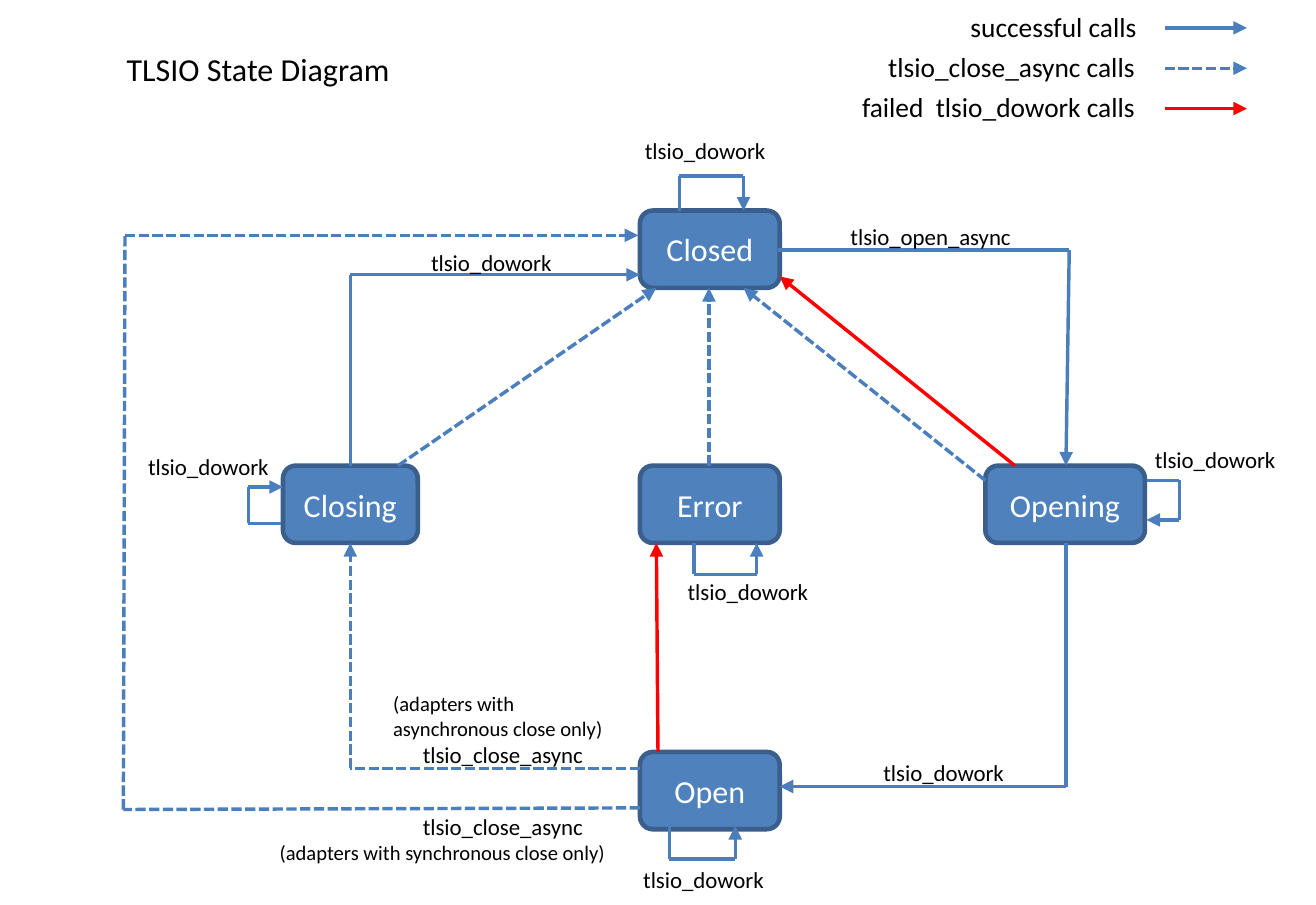
from itertools import pairwise

from lxml import etree
from pptx import Presentation
from pptx.dml.color import RGBColor
from pptx.enum.dml import MSO_LINE
from pptx.enum.shapes import MSO_CONNECTOR, MSO_SHAPE
from pptx.enum.text import MSO_ANCHOR, MSO_AUTO_SIZE, PP_ALIGN
from pptx.oxml.ns import qn
from pptx.util import Inches, Pt

STRAIGHT = MSO_CONNECTOR.STRAIGHT
ROUNDED = MSO_SHAPE.ROUNDED_RECTANGLE
DASH = MSO_LINE.SQUARE_DOT
CENTER, LEFT = PP_ALIGN.CENTER, PP_ALIGN.LEFT
TOP, MIDDLE = MSO_ANCHOR.TOP, MSO_ANCHOR.MIDDLE
FIT = MSO_AUTO_SIZE.SHAPE_TO_FIT_TEXT

THEME = {
    "font": "Calibri",
    "state": RGBColor(0x4F, 0x81, 0xBD),
    "border": RGBColor(0x3A, 0x5F, 0x8C),
    "call": RGBColor(0x4B, 0x7E, 0xBC),
    "failure": RGBColor(0xFF, 0x00, 0x00),
    "ink": RGBColor(0, 0, 0),
    "white": RGBColor(0xFF, 0xFF, 0xFF),
    "heading": 14, "legend": 12, "label": 10, "note": 9,
    "border_width": 2, "call_width": 1.5,
}
LABEL_HEIGHT = {"legend": 0.36, "label": 0.32, "note": 0.3}
STATE_HEIGHT = 0.47

TITLE = ("TLSIO State Diagram", 0.64, 0.25, 1.86, 0.34)

STATES = [
    ("Closed", 3.89, 1.28, 0.85),
    ("Opening", 5.99, 2.83, 0.97),
    ("Closing", 1.72, 2.83, 0.82),
    ("Open", 3.89, 4.57, 0.85),
    ("Error", 3.89, 2.83, 0.85),
]

CALLS = {
    "success": [
        [(2.13, 2.83), (2.13, 1.67), (3.89, 1.67)],
        [(4.73, 1.52), (6.5, 1.52), (6.48, 2.83)],
        [(6.48, 3.3), (6.48, 4.78), (4.74, 4.78)],
        [(6.97, 2.92), (7.17, 2.92), (7.17, 3.16), (6.97, 3.16)],
        [(4.22, 3.3), (4.22, 3.49), (4.6, 3.49), (4.6, 3.3)],
        [(4.13, 1.28), (4.13, 1.07), (4.52, 1.07), (4.52, 1.28)],
        [(4.07, 5.02), (4.07, 5.22), (4.47, 5.22), (4.47, 5.02)],
        [(1.71, 3.18), (1.51, 3.18), (1.51, 2.96), (1.72, 2.96)],
    ],
    "close": [
        [(3.89, 4.67), (2.13, 4.67), (2.13, 3.3)],
        [(3.89, 4.91), (0.75, 4.92), (0.76, 1.43), (3.88, 1.43)],
        [(4.31, 2.83), (4.31, 1.75)],
        [(5.99, 2.92), (4.52, 1.75)],
        [(2.42, 2.83), (3.99, 1.75)],
    ],
    "failure": [
        [(6.17, 2.83), (4.74, 1.68)],
        [(4, 4.57), (3.99, 3.3)],
    ],
}

DOWORK_WIDTH, ASYNC_WIDTH = 1.05, 1.29
LABELS = [
    ("tlsio_dowork", DOWORK_WIDTH, [
        (4.03, 3.43), (5.22, 4.53), (6.87, 2.63), (3.77, 0.75),
        (3.76, 5.18), (2.47, 1.43), (0.75, 2.67)]),
    ("tlsio_open_async", ASYNC_WIDTH, [(5.02, 1.27)]),
    ("tlsio_close_async", ASYNC_WIDTH, [(2.42, 4.42), (2.42, 4.86)]),
]
ASYNC_NOTE = ("(adapters with asynchronous close only)", 2.24, 4.12, 1.63, 0.46)
SYNC_NOTE = ("(adapters with synchronous close only)", 1.55, 5.03, 2.37)

LEGEND = [
    ("successful calls", "success", 1.33),
    ("tlsio_close_async calls", "close", 1.83),
    ("failed  tlsio_dowork calls", "failure", 1.99),
]
LEGEND_X, LEGEND_Y, LEGEND_STEP, LEGEND_ARROW = 7.08, 0.17, 0.245, 0.5


def write(shape, text, size, color, align=LEFT, anchor=TOP):
    frame = shape.text_frame
    frame.text = text
    frame.vertical_anchor = anchor
    paragraph = frame.paragraphs[0]
    paragraph.alignment = align
    paragraph.font.name = THEME["font"]
    paragraph.font.size = Pt(THEME[size])
    paragraph.font.color.rgb = THEME[color]
    return frame


def add_title(slide, text, *box):
    title = slide.shapes.title
    title.left, title.top, title.width, title.height = map(Inches, box)
    frame = write(title, text, "heading", "ink", CENTER)
    frame.word_wrap = True
    frame.auto_size = FIT


def add_state(slide, name, left, top, width):
    state = slide.shapes.add_shape(
        ROUNDED, *map(Inches, (left, top, width, STATE_HEIGHT)))
    state.shadow.inherit = False
    state.fill.solid()
    state.fill.fore_color.rgb = THEME["state"]
    state.line.color.rgb = THEME["border"]
    state.line.width = Pt(THEME["border_width"])
    write(state, name, "heading", "white", CENTER, MIDDLE)


def add_label(slide, text, left, top, width, size, height=None):
    box = (left, top, width, height or LABEL_HEIGHT[size])
    label = slide.shapes.add_textbox(*map(Inches, box))
    frame = write(label, text, size, "ink")
    frame.margin_left = frame.margin_right = Inches(0.15)
    frame.margin_top = frame.margin_bottom = Inches(0.08)
    frame.word_wrap = height is not None
    frame.auto_size = FIT


def add_call(slide, kind, points):
    for start, end in pairwise(points):
        leg = slide.shapes.add_connector(STRAIGHT, *map(Inches, start + end))
        leg.line.color.rgb = THEME["failure" if kind == "failure" else "call"]
        leg.line.width = Pt(THEME["call_width"])
        if kind == "close":
            leg.line.dash_style = DASH
            leg.line._ln.find(qn("a:prstDash")).set("val", "sysDash")
        etree.SubElement(leg._element.spPr, qn("a:effectLst"))
    etree.SubElement(leg.line._ln, qn("a:tailEnd"), type="triangle")


def main():
    deck = Presentation()
    deck.slide_width, deck.slide_height = Inches(8), Inches(5.5)
    slide = deck.slides.add_slide(deck.slide_layouts[5])

    add_title(slide, *TITLE)
    for state in STATES:
        add_state(slide, *state)
    for kind, routes in CALLS.items():
        for points in routes:
            add_call(slide, kind, points)
    for text, width, places in LABELS:
        for left, top in places:
            add_label(slide, text, left, top, width, "label")
    *async_box, async_height = ASYNC_NOTE
    add_label(slide, *async_box, "note", async_height)
    add_label(slide, *SYNC_NOTE, "note")
    for row, (text, kind, width) in enumerate(LEGEND):
        y = LEGEND_Y + row * LEGEND_STEP
        add_label(slide, text, LEGEND_X - width, y - 0.19, width, "legend")
        add_call(slide, kind, [(LEGEND_X, y), (LEGEND_X + LEGEND_ARROW, y)])

    deck.save("out.pptx")


if __name__ == "__main__":
    main()
